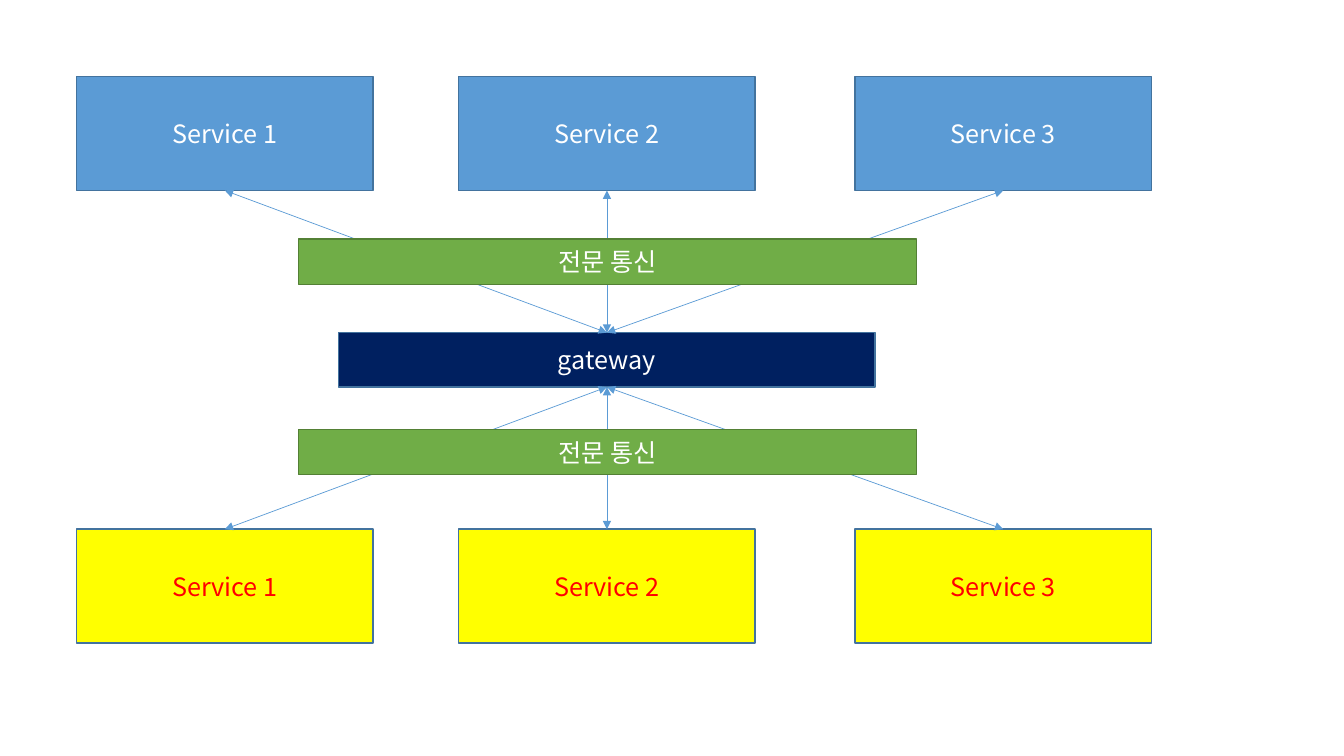
from lxml.etree import SubElement
from pptx import Presentation
from pptx.dml.color import RGBColor
from pptx.enum.shapes import MSO_CONNECTOR, MSO_SHAPE
from pptx.enum.text import MSO_ANCHOR, PP_ALIGN
from pptx.oxml.ns import qn
from pptx.util import Inches, Pt

WHITE = RGBColor(0xFF, 0xFF, 0xFF)
RED = RGBColor(0xFF, 0x00, 0x00)
YELLOW = RGBColor(0xFF, 0xFF, 0x00)
BLUE = RGBColor(0x5B, 0x9B, 0xD5)
NAVY = RGBColor(0x00, 0x20, 0x60)
GREEN = RGBColor(0x70, 0xAD, 0x47)
BLUE_EDGE = RGBColor(0x43, 0x73, 0x9E)
GREEN_EDGE = RGBColor(0x53, 0x80, 0x35)

FONT = "Noto Sans CJK KR"
TOP, BOTTOM = 0, 2  # connection sites of a rectangle

SERVICE_COLUMNS = (0.76, 4.55, 8.48)
SERVICE_WIDTH, SERVICE_HEIGHT = 2.94, 1.13
UPPER_TOP, LOWER_TOP = 0.76, 5.25
GATEWAY_BOX = (3.36, 3.3, 5.32, 0.54)
BAND_LEFT, BAND_WIDTH, BAND_HEIGHT = 2.96, 6.13, 0.45
BAND_TOPS = (2.37, 4.26)


def add_block(slide, box, label, fill, edge=BLUE_EDGE, ink=WHITE):
    block = slide.shapes.add_shape(MSO_SHAPE.RECTANGLE, *map(Inches, box))
    block.shadow.inherit = False
    block.fill.solid()
    block.fill.fore_color.rgb = fill
    block.line.color.rgb = edge
    block.line.width = Pt(1)
    block.text_frame.text = label
    block.text_frame.vertical_anchor = MSO_ANCHOR.MIDDLE
    paragraph = block.text_frame.paragraphs[0]
    paragraph.alignment = PP_ALIGN.CENTER
    run = paragraph.runs[0]
    run.font.size = Pt(18)
    run.font.name = FONT
    run.font.color.rgb = ink
    SubElement(run.font._element, qn("a:ea"), typeface=FONT)
    return block


def add_service_row(slide, top, fill, ink):
    return [
        add_block(slide, (left, top, SERVICE_WIDTH, SERVICE_HEIGHT),
                  f"Service {number}", fill, ink=ink)
        for number, left in enumerate(SERVICE_COLUMNS, start=1)
    ]


def link_to_gateway(slide, services, service_site, gateway, gateway_site):
    """Join each service to the gateway with a double-headed arrow."""
    for service in services:
        link = slide.shapes.add_connector(MSO_CONNECTOR.STRAIGHT, 0, 0, 0, 0)
        link.begin_connect(service, service_site)
        link.end_connect(gateway, gateway_site)
        link.line.color.rgb = BLUE
        link.line.width = Pt(0.5)
        outline = link.line._get_or_add_ln()
        for end in ("a:headEnd", "a:tailEnd"):
            SubElement(outline, qn(end), type="triangle")
        SubElement(link._element.spPr, qn("a:effectLst"))


def build_gateway_slide(slide):
    gateway = add_block(slide, GATEWAY_BOX, "gateway", NAVY)
    upper = add_service_row(slide, UPPER_TOP, BLUE, WHITE)
    lower = add_service_row(slide, LOWER_TOP, YELLOW, RED)
    link_to_gateway(slide, upper, BOTTOM, gateway, TOP)
    link_to_gateway(slide, lower, TOP, gateway, BOTTOM)
    for top in BAND_TOPS:
        add_block(slide, (BAND_LEFT, top, BAND_WIDTH, BAND_HEIGHT),
                  "전문 통신", GREEN, GREEN_EDGE)


def main():
    deck = Presentation()
    deck.slide_width, deck.slide_height = Inches(13.33), Inches(7.5)
    build_gateway_slide(deck.slides.add_slide(deck.slide_layouts[6]))
    deck.save("out.pptx")


if __name__ == "__main__":
    main()
